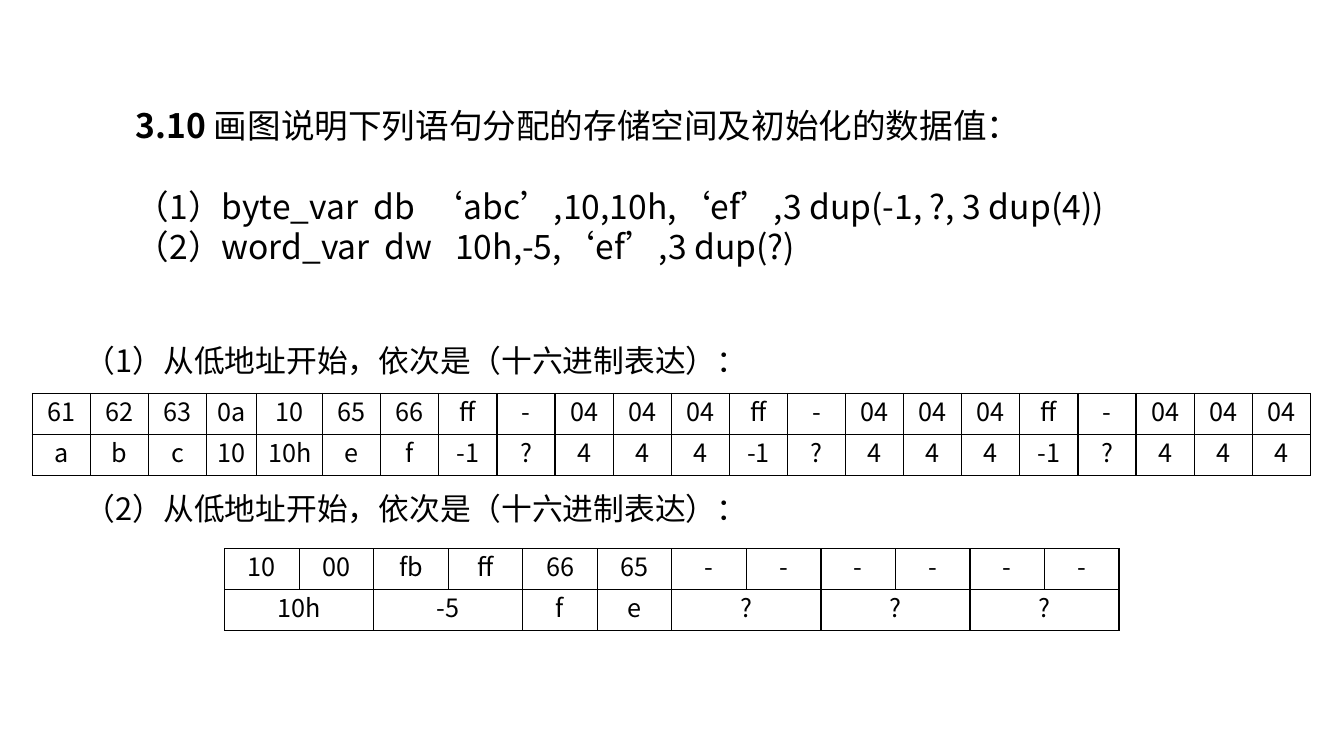
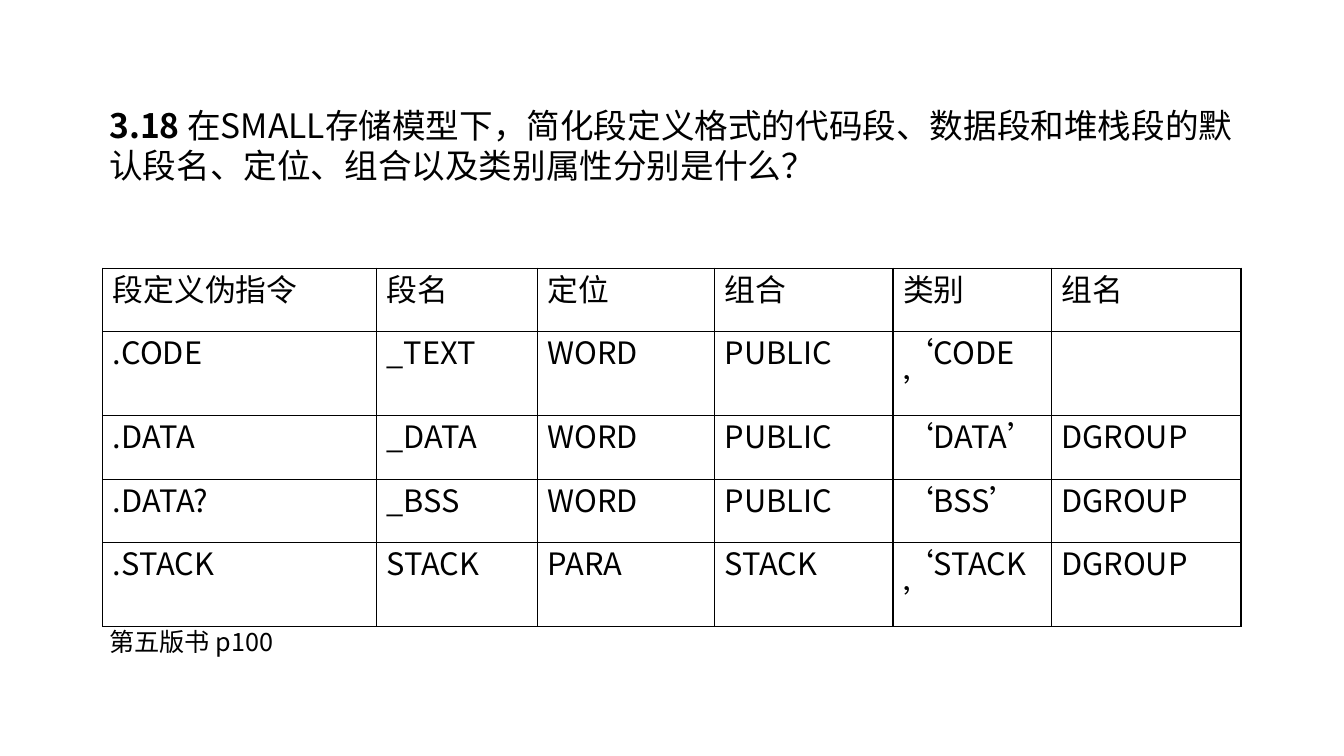
"""Build two slides of assembly-language exercise answers."""
from pptx import Presentation
from pptx.dml.color import RGBColor
from pptx.enum.text import MSO_ANCHOR, PP_ALIGN
from pptx.oxml.ns import qn
from pptx.util import Pt
from lxml.etree import SubElement

FONT = "Noto Sans CJK SC"
COLORS = {"text": "000000", "border": "000000", "background": "FFFFFF"}
LINE_RATIO = 1.2
TITLE, BODY, SMALL = 24, 22, 18


def add_run(p, text, size, bold=False):
    """Append a run in the shared font."""
    r = p.add_run()
    r.text = text
    r.font.size = Pt(size)
    r.font.bold = bold
    r.font.name = FONT
    r.font.color.rgb = RGBColor.from_string(COLORS["text"])
    SubElement(r.font._element, qn("a:ea"), typeface=FONT)


def add_text(slide, text, left, top, width, height, size=BODY, number="", gap=0):
    """Add a text box whose second paragraph follows a gap of whole lines."""
    tf = slide.shapes.add_textbox(Pt(left), Pt(top), Pt(width), Pt(height)).text_frame
    tf.word_wrap = True
    for i, line in enumerate(text.split("\n")):
        p = tf.paragraphs[0] if i == 0 else tf.add_paragraph()
        p.line_spacing = Pt(size * LINE_RATIO)
        if i == 0 and number:
            add_run(p, number, size, bold=True)
        if i == 1:
            p.space_before = Pt(gap * size * LINE_RATIO)
        add_run(p, line, size)


def set_borders(cell):
    """Draw a thin solid line on all four sides of a cell."""
    tcPr = cell._tc.get_or_add_tcPr()
    for i, side in enumerate(("a:lnL", "a:lnR", "a:lnT", "a:lnB")):
        ln = tcPr.makeelement(qn(side), {"w": str(Pt(1))})
        fill = SubElement(ln, qn("a:solidFill"))
        SubElement(fill, qn("a:srgbClr"), val=COLORS["border"])
        tcPr.insert(i, ln)


def add_grid(slide, rows, left, top, widths, heights, size=SMALL, align=PP_ALIGN.CENTER):
    """Add a plain bordered table; None continues the cell to its left."""
    shape = slide.shapes.add_table(len(rows), len(widths), Pt(left), Pt(top),
                                   Pt(sum(widths)), Pt(sum(heights)))
    table = shape.table
    table.first_row = table.horz_banding = False
    for column, width in zip(table.columns, widths):
        column.width = Pt(width)
    for row, height in zip(table.rows, heights):
        row.height = Pt(height)
    for y, values in enumerate(rows):
        for x, value in enumerate(values):
            cell = table.cell(y, x)
            cell.fill.background()
            cell.vertical_anchor = MSO_ANCHOR.TOP
            set_borders(cell)
            if value is None:
                table.cell(y, x - 1).merge(cell)
                continue
            p = cell.text_frame.paragraphs[0]
            p.alignment = align
            p.line_spacing = Pt(size * LINE_RATIO)
            p.space_before = Pt(size * 0.2)
            if value:
                add_run(p, value, size)


def add_slide(prs):
    """Add a blank slide with the shared background."""
    slide = prs.slides.add_slide(prs.slide_layouts[6])
    fill = slide.background.fill
    fill.solid()
    fill.fore_color.rgb = RGBColor.from_string(COLORS["background"])
    return slide


def build_storage(prs):
    """Show how bytes and words are laid out in memory."""
    slide = add_slide(prs)
    add_text(slide, "画图说明下列语句分配的存储空间及初始化的数据值：\n"
             "（1）byte_var  db  ‘abc’,10,10h,‘ef’,3 dup(-1, ?, 3 dup(4))\n"
             "（2）word_var  dw   10h,-5,‘ef’,3 dup(?)",
             90, 71.5, 838, 124, size=TITLE, number="3.10 ", gap=1)
    add_text(slide, "（1）从低地址开始，依次是（十六进制表达）：\n"
             "（2）从低地址开始，依次是（十六进制表达）：", 53.5, 240.5, 883, 140, gap=3)
    byte_rows = ["61 62 63 0a 10 65 66".split() + "ff - 04 04 04".split() * 3,
                 "a b c 10 10h e f".split() + "-1 ? 4 4 4".split() * 3]
    byte_widths = [41.5] * 3 + [36, 47] + [41.5] * 17
    add_grid(slide, byte_rows, 23, 281, byte_widths, [29.25] * 2)
    word_rows = ["10 00 fb ff 66 65".split() + ["-"] * 6,
                 ["10h", None, "-5", None, "f", "e"] + ["?", None] * 3]
    add_grid(slide, word_rows, 160.5, 392, [53.25] * 12, [29.25] * 2)


def build_segments(prs):
    """List the default attributes of the simplified segments."""
    slide = add_slide(prs)
    add_text(slide, "在SMALL存储模型下，简化段定义格式的代码段、数据段和堆栈段的默认段名、"
             "定位、组合以及类别属性分别是什么？", 71, 71.5, 837, 65.5, size=TITLE, number="3.18 ")
    rows = [["段定义伪指令", "段名", "定位", "组合", "类别", "组名"],
            [".CODE", "_TEXT", "WORD", "PUBLIC", "‘CODE’", ""],
            [".DATA", "_DATA", "WORD", "PUBLIC", "‘DATA’", "DGROUP"],
            [".DATA?", "_BSS", "WORD", "PUBLIC", "‘BSS’", "DGROUP"],
            [".STACK", "STACK", "PARA", "STACK", "‘STACK’", "DGROUP"]]
    add_grid(slide, rows, 73.5, 191.5, [195.5, 115, 126.5, 127.5, 113, 135.5],
             [45.25, 60.25, 45.25, 45.25, 60.25], size=BODY, align=PP_ALIGN.LEFT)
    add_text(slide, "第五版书 p100", 71, 444, 148, 29, size=SMALL)


def main():
    """Build and save the presentation."""
    prs = Presentation()
    prs.slide_width, prs.slide_height = Pt(960), Pt(540)
    build_storage(prs)
    build_segments(prs)
    prs.save("out.pptx")


if __name__ == "__main__":
    main()
